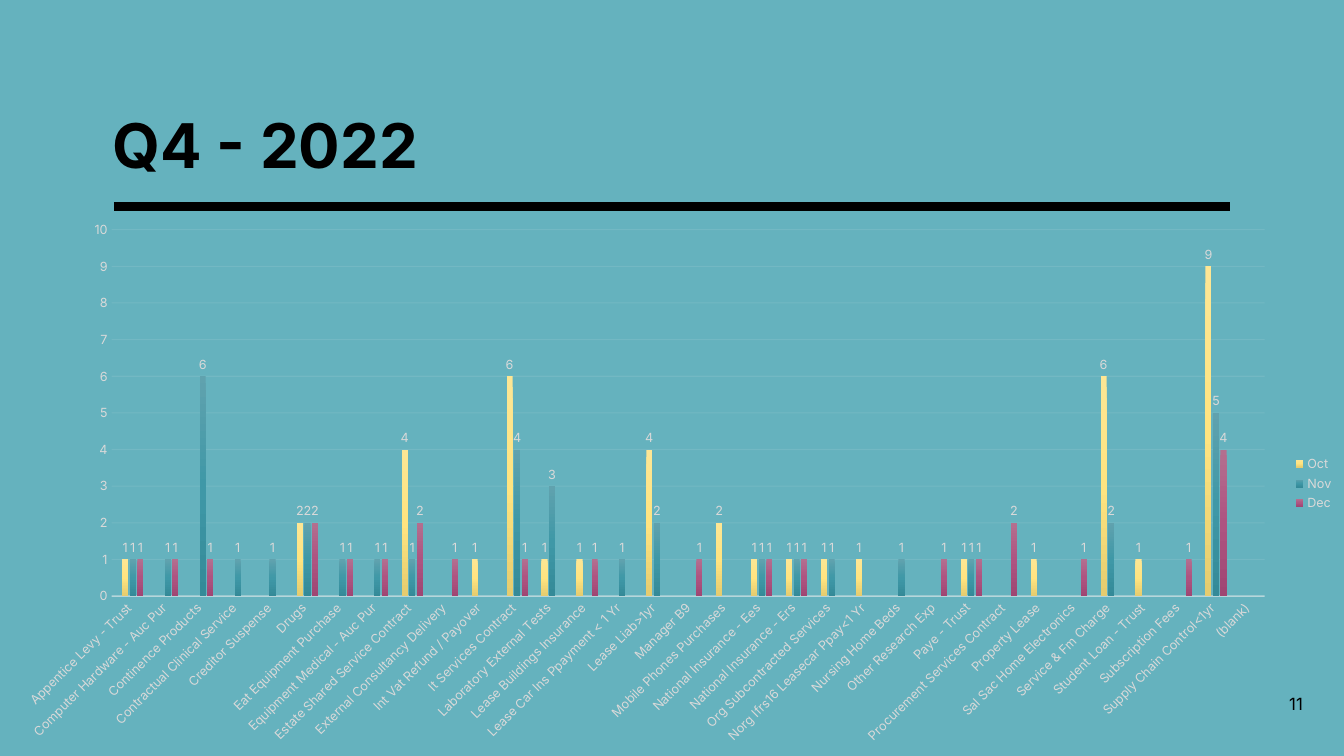
from copy import deepcopy

from pptx import Presentation
from pptx.chart.data import CategoryChartData
from pptx.dml.color import RGBColor
from pptx.enum.chart import XL_CHART_TYPE, XL_LABEL_POSITION, XL_LEGEND_POSITION, XL_TICK_MARK
from pptx.enum.shapes import MSO_CONNECTOR
from pptx.enum.text import MSO_ANCHOR, PP_ALIGN
from pptx.oxml import parse_xml
from pptx.oxml.ns import nsdecls, qn
from pptx.util import Inches, Pt

COLUMNS = XL_CHART_TYPE.COLUMN_CLUSTERED
OUTSIDE_END = XL_LABEL_POSITION.OUTSIDE_END
LEGEND_RIGHT = XL_LEGEND_POSITION.RIGHT
NO_TICK = XL_TICK_MARK.NONE
STRAIGHT = MSO_CONNECTOR.STRAIGHT
LEFT, RIGHT = PP_ALIGN.LEFT, PP_ALIGN.RIGHT
BOTTOM, MIDDLE = MSO_ANCHOR.BOTTOM, MSO_ANCHOR.MIDDLE

TEAL = RGBColor(0x65, 0xB2, 0xBE)
BLACK = RGBColor(0x00, 0x00, 0x00)
WHITE = RGBColor(0xFF, 0xFF, 0xFF)
LABEL_GREY = RGBColor(0xD9, 0xD9, 0xD9)
LINE_GREY = RGBColor(0xF2, 0xF2, 0xF2)
GRADIENTS = {
    "Series 1": (RGBColor(0xB4, 0xDA, 0xE0), RGBColor(0xA7, 0xD6, 0xDD), RGBColor(0x91, 0xC0, 0xC8)),
    "Oct": (RGBColor(0xFD, 0xE6, 0x94), RGBColor(0xFF, 0xE4, 0x80), RGBColor(0xE5, 0xCC, 0x6F)),
    "Nov": (RGBColor(0x60, 0xA2, 0xAE), RGBColor(0x3F, 0x98, 0xA7), RGBColor(0x34, 0x8A, 0x98)),
    "Dec": (RGBColor(0xB3, 0x6F, 0x8F), RGBColor(0xAE, 0x54, 0x81), RGBColor(0x9F, 0x46, 0x73)),
}

MONTHS = ("Oct", "Nov", "Dec")
COUNTS = [
    ("Appentice Levy - Trust", 1, 1, 1),
    ("Computer Hardware - Auc Pur", None, 1, 1),
    ("Continence Products", None, 6, 1),
    ("Contractual Clinical Service", None, 1, None),
    ("Creditor Suspense", None, 1, None),
    ("Drugs", 2, 2, 2),
    ("Eat Equipment Purchase", None, 1, 1),
    ("Equipment Medical - Auc Pur", None, 1, 1),
    ("Estate Shared Service Contract", 4, 1, 2),
    ("External Consultancy Delivery", None, None, 1),
    ("Int Vat Refund / Payover", 1, None, None),
    ("It Services Contract", 6, 4, 1),
    ("Laboratory External Tests", 1, 3, None),
    ("Lease Buildings Insurance", 1, None, 1),
    ("Lease Car Ins Ppayment < 1 Yr", None, 1, None),
    ("Lease Liab>1yr", 4, 2, None),
    ("Manager B9", None, None, 1),
    ("Mobile Phones Purchases", 2, None, None),
    ("National Insurance - Ees", 1, 1, 1),
    ("National Insurance - Ers", 1, 1, 1),
    ("Org Subcontracted Services", 1, 1, None),
    ("Norg Ifrs16 Leasecar Ppay<1 Yr", 1, None, None),
    ("Nursing Home Beds", None, 1, None),
    ("Other Research Exp", None, None, 1),
    ("Paye - Trust", 1, 1, 1),
    ("Procurement Services Contract", None, None, 2),
    ("Property Lease", 1, None, None),
    ("Sal Sac Home Electronics", None, None, 1),
    ("Service & Fm Charge", 6, 2, None),
    ("Student Loan - Trust", 1, None, None),
    ("Subscription Fees", None, None, 1),
    ("Supply Chain Control<1yr", 9, 5, 4),
    ("(blank)", None, None, None),
]


class SlideBuilder:
    """Holds the font and the current slide and adds each kind of element."""

    font_name = "Inter"

    def __init__(self, slide):
        self.slide = slide
        slide.background.fill.solid()
        slide.background.fill.fore_color.rgb = TEAL

    def style_font(self, font, size, color, bold=False):
        font.name, font.size, font.bold = self.font_name, Pt(size), bold
        font.color.rgb = color

    def style_line(self, line, color, width, opacity):
        line.width = Pt(width)
        line.color.rgb = color
        color_element = line.fill._xPr.find(".//" + qn("a:srgbClr"))
        color_element.append(parse_xml(f'<a:alpha {nsdecls("a")} val="{opacity * 1000}"/>'))

    def rule(self, left, right, top, width):
        ends = map(Inches, (left, top, right, top))
        connector = self.slide.shapes.add_connector(STRAIGHT, *ends)
        connector.line.color.rgb = BLACK
        connector.line.width = Pt(width)
        connector._element.spPr.append(parse_xml(f'<a:effectLst {nsdecls("a")}/>'))

    def text(self, box, text, size, anchor, align=LEFT, margin=0.0, bold=False, spacing=1.0):
        frame = self.slide.shapes.add_textbox(*map(Inches, box)).text_frame
        frame.word_wrap = True
        frame.vertical_anchor = anchor
        frame.margin_left = frame.margin_right = Inches(margin)
        frame.margin_top = frame.margin_bottom = Inches(margin / 2)
        frame.text = text
        paragraph = frame.paragraphs[0]
        paragraph.alignment = align
        paragraph.line_spacing = spacing
        self.style_font(paragraph.runs[0].font, size, BLACK, bold)

    def gradient(self, series, colors):
        fill = series.format.fill
        fill.gradient()
        fill.gradient_angle = 270
        stop_list = series._element.find(".//" + qn("a:gsLst"))
        stop_list.append(deepcopy(stop_list[0]))
        for stop, position, color in zip(fill.gradient_stops, (0, 0.5, 1), colors):
            stop.position = position
            stop.color.rgb = color

    def column_chart(self, box, data):
        chart = self.slide.shapes.add_chart(COLUMNS, *map(Inches, box), data).chart
        self.style_font(chart.font, 10, WHITE)
        chart.has_title = False
        self.axes(chart)
        self.legend(chart)
        plot = chart.plots[0]
        plot.gap_width, plot.overlap, plot.vary_by_categories = 100, -24, False
        for series in plot.series:
            self.gradient(series, GRADIENTS[series.name])
            labels = series.data_labels
            labels.show_value = True
            labels.position = OUTSIDE_END
            self.style_font(labels.font, 9, LABEL_GREY)
        self.plot_layout(chart, x=0.083, y=0.035, w=0.858, h=0.672)

    def axes(self, chart):
        for axis in (chart.category_axis, chart.value_axis):
            axis.major_tick_mark = axis.minor_tick_mark = NO_TICK
            self.style_font(axis.tick_labels.font, 9, LABEL_GREY)
        category_axis, value_axis = chart.category_axis, chart.value_axis
        category_axis._element.find(".//" + qn("a:bodyPr")).set("rot", "-2700000")
        self.style_line(category_axis.format.line, LINE_GREY, 1, 54)
        value_axis.minimum_scale, value_axis.maximum_scale, value_axis.major_unit = 0, 10, 1
        value_axis.format.line.fill.background()
        self.style_line(value_axis.major_gridlines.format.line, LINE_GREY, 0.75, 10)

    def legend(self, chart):
        chart.has_legend = True
        chart.legend.position = LEGEND_RIGHT
        chart.legend.include_in_layout = False
        self.style_font(chart.legend.font, 9, LABEL_GREY)
        hidden_entry = f'<c:legendEntry {nsdecls("c")}><c:idx val="0"/><c:delete val="1"/></c:legendEntry>'
        chart.legend._element.find(qn("c:legendPos")).addnext(parse_xml(hidden_entry))

    def plot_layout(self, chart, **fractions):
        modes = "".join(f'<c:{name}Mode val="edge"/>' for name in "xy")
        sizes = "".join(f'<c:{name} val="{value}"/>' for name, value in fractions.items())
        plot_area = chart._chartSpace.find(".//" + qn("c:plotArea"))
        for layout in plot_area.findall(qn("c:layout")):
            plot_area.remove(layout)
        plot_area.insert(0, parse_xml(
            f'<c:layout {nsdecls("c")}><c:manualLayout><c:layoutTarget val="inner"/>'
            f"{modes}{sizes}</c:manualLayout></c:layout>"))


def main():
    presentation = Presentation()
    presentation.slide_width, presentation.slide_height = Inches(13.33), Inches(7.5)
    builder = SlideBuilder(presentation.slides.add_slide(presentation.slide_layouts[6]))

    builder.rule(1.13, 12.2, 2.05, 6)
    builder.text((1.12, 1.09, 8.54, 0.71), "Q4 - 2022", 44, BOTTOM, bold=True, spacing=0.9)
    builder.text((12.57, 6.88, 0.45, 0.2), "11", 12, MIDDLE, align=RIGHT, margin=0.1)

    categories, *month_counts = zip(*COUNTS)
    data = CategoryChartData(number_format="General")
    data.categories = categories
    data.add_series("Series 1", [None] * len(categories))
    for month, counts in zip(MONTHS, month_counts):
        data.add_series(month, counts)
    builder.column_chart((0, 2.09, 13.33, 5.41), data)

    presentation.save("out.pptx")


if __name__ == "__main__":
    main()
